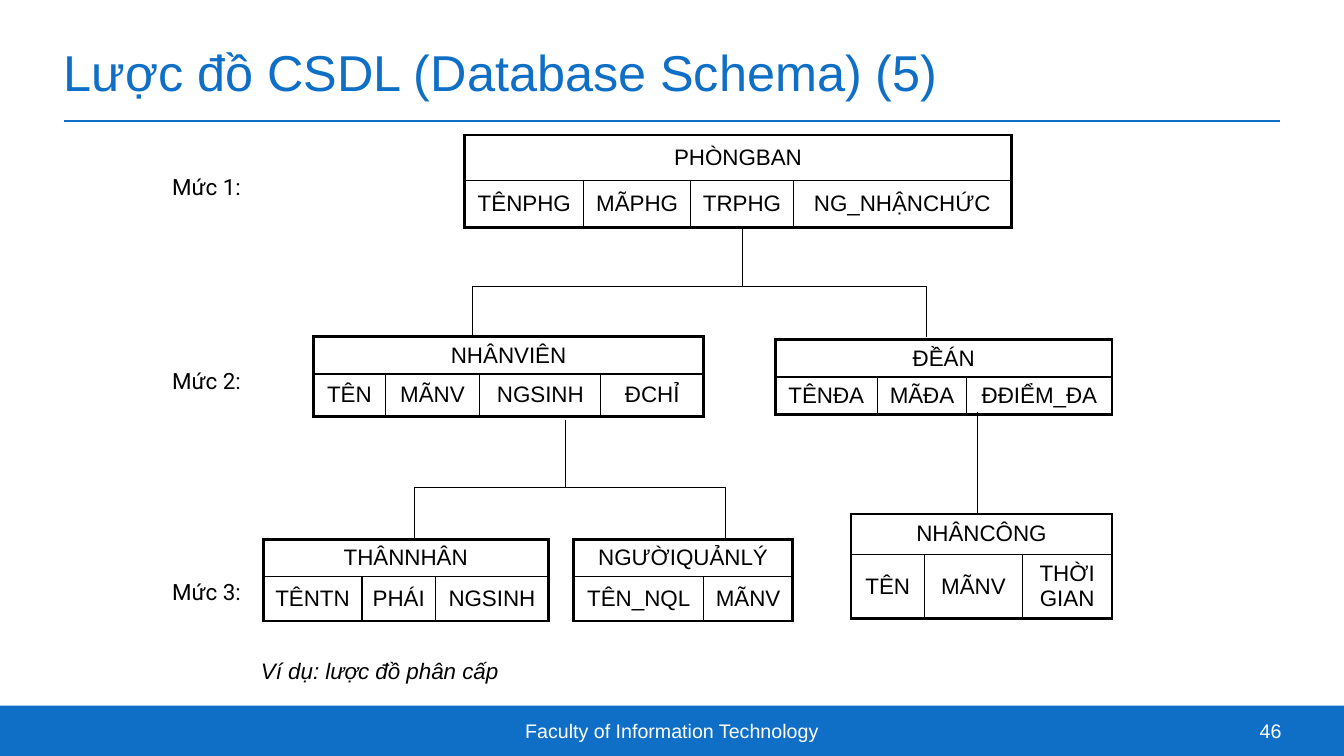
"""Build the hierarchical database schema slide."""
from lxml import etree
from pptx import Presentation
from pptx.dml.color import RGBColor
from pptx.enum.shapes import MSO_CONNECTOR, MSO_SHAPE
from pptx.enum.text import MSO_ANCHOR as ANCHOR, PP_ALIGN as ALIGN
from pptx.oxml import parse_xml
from pptx.oxml.ns import nsdecls, qn
from pptx.util import Inches, Pt

BLUE = RGBColor(0x0F, 0x6F, 0xC6)
BLACK = RGBColor(0, 0, 0)
WHITE = RGBColor(255, 255, 255)
OUTER, INNER = 2.25, 1

TITLE = "Lược đồ CSDL (Database Schema) (5)"
FOOTER = "Faculty of Information Technology"
PAGE = "46"
CAPTION = "Ví dụ: lược đồ phân cấp"
LEVELS = [("Mức 1:", 1.67), ("Mức 2:", 3.59), ("Mức 3:", 5.69)]

RECORDS = [
    ("PHÒNGBAN", 4.61, 1.34, (0.45, 0.47),
     [("TÊNPHG", 1.18), ("MÃPHG", 1.06), ("TRPHG", 1.02), ("NG_NHẬNCHỨC", 2.16)]),
    ("NHÂNVIÊN", 3.11, 3.34, (0.37, 0.42),
     [("TÊN", 0.71), ("MÃNV", 0.94), ("NGSINH", 1.2), ("ĐCHỈ", 1.02)]),
    ("ĐỀÁN", 7.69, 3.37, (0.37, 0.37),
     [("TÊNĐA", 1.01), ("MÃĐA", 0.89), ("ĐĐIỂM_ĐA", 1.44)]),
    ("NGƯỜIQUẢNLÝ", 5.69, 5.35, (0.37, 0.44),
     [("TÊN_NQL", 1.29), ("MÃNV", 0.88)]),
    ("THÂNNHÂN", 2.61, 5.35, (0.37, 0.44),
     [("TÊNTN", 0.98), ("PHÁI", 0.73), ("NGSINH", 1.12)]),
    ("NHÂNCÔNG", 8.44, 5.1, (0.4, 0.63),
     [("TÊN", 0.73), ("MÃNV", 0.97), ("THỜI\vGIAN", 0.89)]),
]
BRACKETS = [(4.69, 9.19, 2.84), (4.11, 7.19, 4.84)]
BRACKET_DROP = 0.5
STEMS = [(9.69, 4.09, 5.09), (5.61, 4.17, 4.84), (7.36, 2.25, 2.84)]


def write(tf, text, size, color, align, font="Arial", italic=False):
    tf.text = text
    p = tf.paragraphs[0]
    p.alignment = align
    for r in p.runs:
        r.font.name = font
        r.font.size = Pt(size)
        r.font.color.rgb = color
        r.font.bold = False
        r.font.italic = italic


def add_text(slide, box, text, size, color, align=ALIGN.LEFT, inset=True, wrap=True, **style):
    tf = slide.shapes.add_textbox(*map(Inches, box)).text_frame
    tf.word_wrap = wrap
    if not inset:
        tf.margin_left = tf.margin_top = tf.margin_right = tf.margin_bottom = 0
        tf.vertical_anchor = ANCHOR.MIDDLE
    write(tf, text, size, color, align, **style)


def add_line(slide, x1, y1, x2, y2, color, width):
    line = slide.shapes.add_connector(MSO_CONNECTOR.STRAIGHT, *map(Inches, (x1, y1, x2, y2)))
    line.line.color.rgb = color
    line.line.width = Pt(width)
    etree.SubElement(line._element.spPr, qn("a:effectLst"))


def add_bracket(slide, left, right, top):
    bottom = top + BRACKET_DROP
    builder = slide.shapes.build_freeform(Inches(left), Inches(bottom))
    corners = [(left, top), (right, top), (right, bottom)]
    builder.add_line_segments([(Inches(x), Inches(y)) for x, y in corners], close=False)
    sp = builder.convert_to_shape()
    sp.shadow.inherit = False
    sp.fill.background()
    sp.line.color.rgb = BLACK
    sp.line.width = Pt(0.5)


def set_borders(cell, widths):
    tc_pr = cell._tc.get_or_add_tcPr()
    for i, (side, width) in enumerate(zip("LRTB", widths)):
        tc_pr.insert(i, parse_xml(
            f'<a:ln{side} {nsdecls("a")} w="{Pt(width)}"><a:solidFill>'
            f'<a:srgbClr val="{BLACK}"/></a:solidFill></a:ln{side}>'))


def add_record(slide, name, left, top, heights, fields):
    n = len(fields)
    width = sum(w for _, w in fields)
    box = map(Inches, (left, top, width, sum(heights)))
    table = slide.shapes.add_table(2, n, *box).table
    table.first_row = table.horz_banding = False
    for row, height in zip(table.rows, heights):
        row.height = Inches(height)
    for column, (_, w) in zip(table.columns, fields):
        column.width = Inches(w)
    table.cell(0, 0).merge(table.cell(0, n - 1))
    for i in range(2):
        for j in range(n):
            cell = table.cell(i, j)
            cell.vertical_anchor = ANCHOR.MIDDLE
            cell.fill.background()
            first = j == 0
            last = j == n - 1 or cell.is_merge_origin
            edges = (first, last, i == 0, i == 1)
            set_borders(cell, [OUTER if edge else INNER for edge in edges])
            if i == 1 or first:
                text = fields[j][0] if i else name
                write(cell.text_frame, text, 16, BLACK, ALIGN.CENTER)


def main():
    prs = Presentation()
    prs.slide_width, prs.slide_height = Inches(13.33), Inches(7.5)
    slide = prs.slides.add_slide(prs.slide_layouts[6])

    bar = slide.shapes.add_shape(MSO_SHAPE.RECTANGLE, 0, Inches(7), prs.slide_width, Inches(0.5))
    bar.shadow.inherit = False
    bar.fill.solid()
    bar.fill.fore_color.rgb = BLUE
    bar.line.fill.background()
    add_line(slide, 0.63, 1.2, 12.7, 1.2, BLUE, 1)

    add_text(slide, (4.44, 7, 4.45, 0.5), FOOTER, 14, WHITE, ALIGN.CENTER, inset=False)
    add_text(slide, (12, 7, 0.71, 0.5), PAGE, 14, WHITE, ALIGN.RIGHT, inset=False)
    add_text(slide, (0.63, 0.23, 12.07, 0.96), TITLE, 36, BLUE, inset=False)
    add_text(slide, (2.49, 6.47, 6.67, 0.37), CAPTION, 16, BLACK, ALIGN.JUSTIFY, italic=True)

    for record in RECORDS:
        add_record(slide, *record)
    for bracket in BRACKETS:
        add_bracket(slide, *bracket)
    for x, top, bottom in STEMS:
        add_line(slide, x, top, x, bottom, BLACK, 0.5)
    for label, top in LEVELS:
        add_text(slide, (1.61, top, 0.88, 0.37), label, 16, BLACK, wrap=False, font="Roboto")

    prs.save("out.pptx")


if __name__ == "__main__":
    main()
